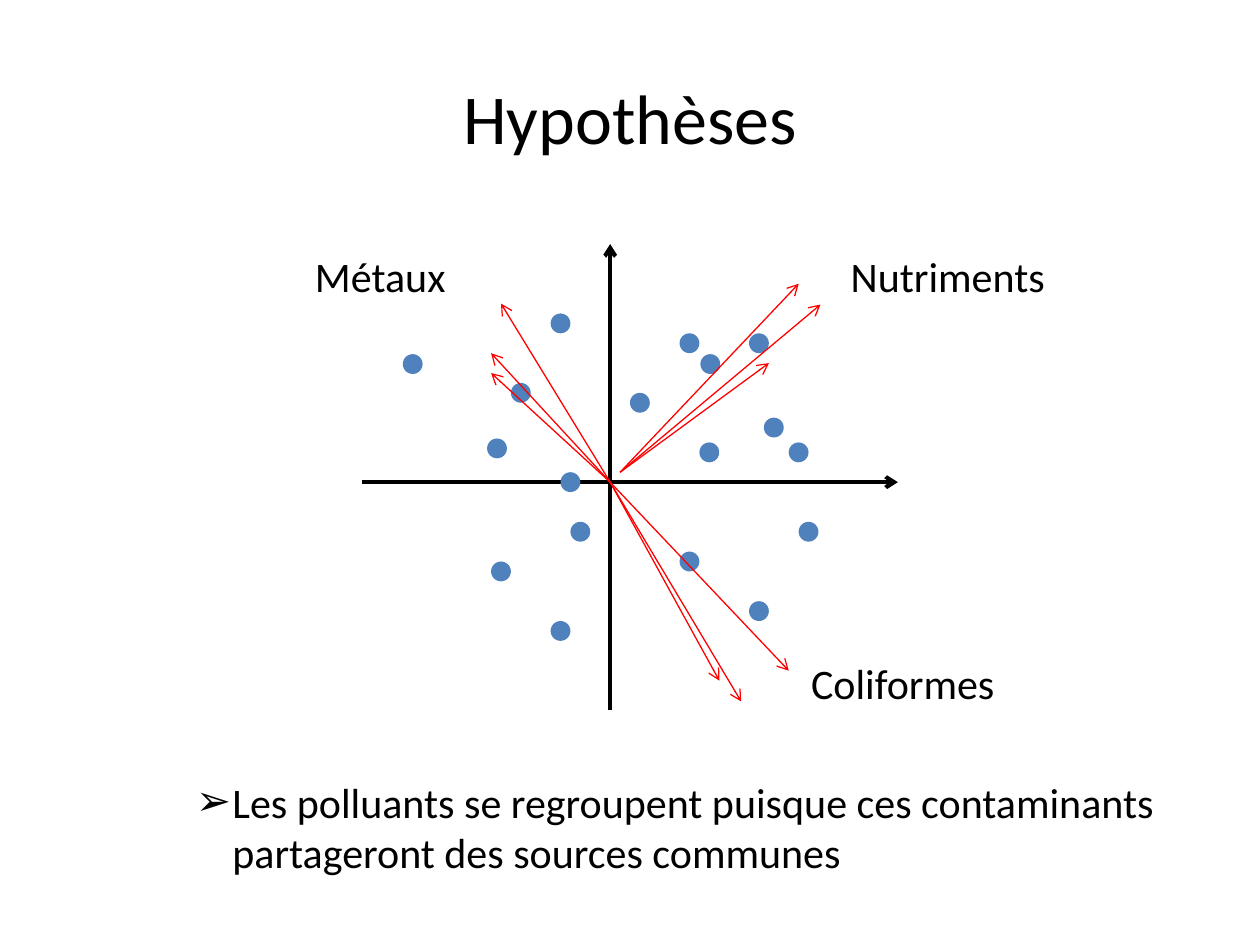
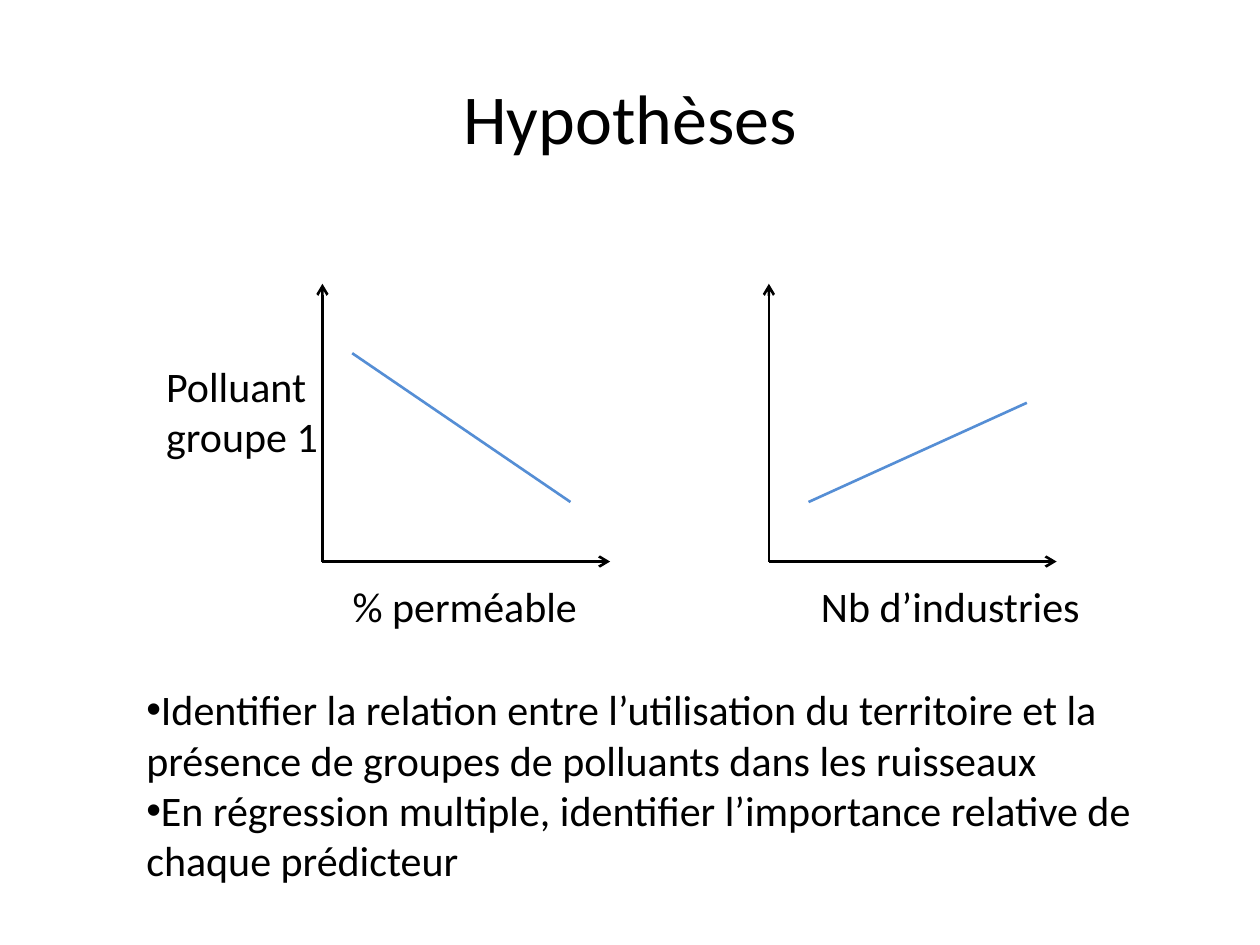
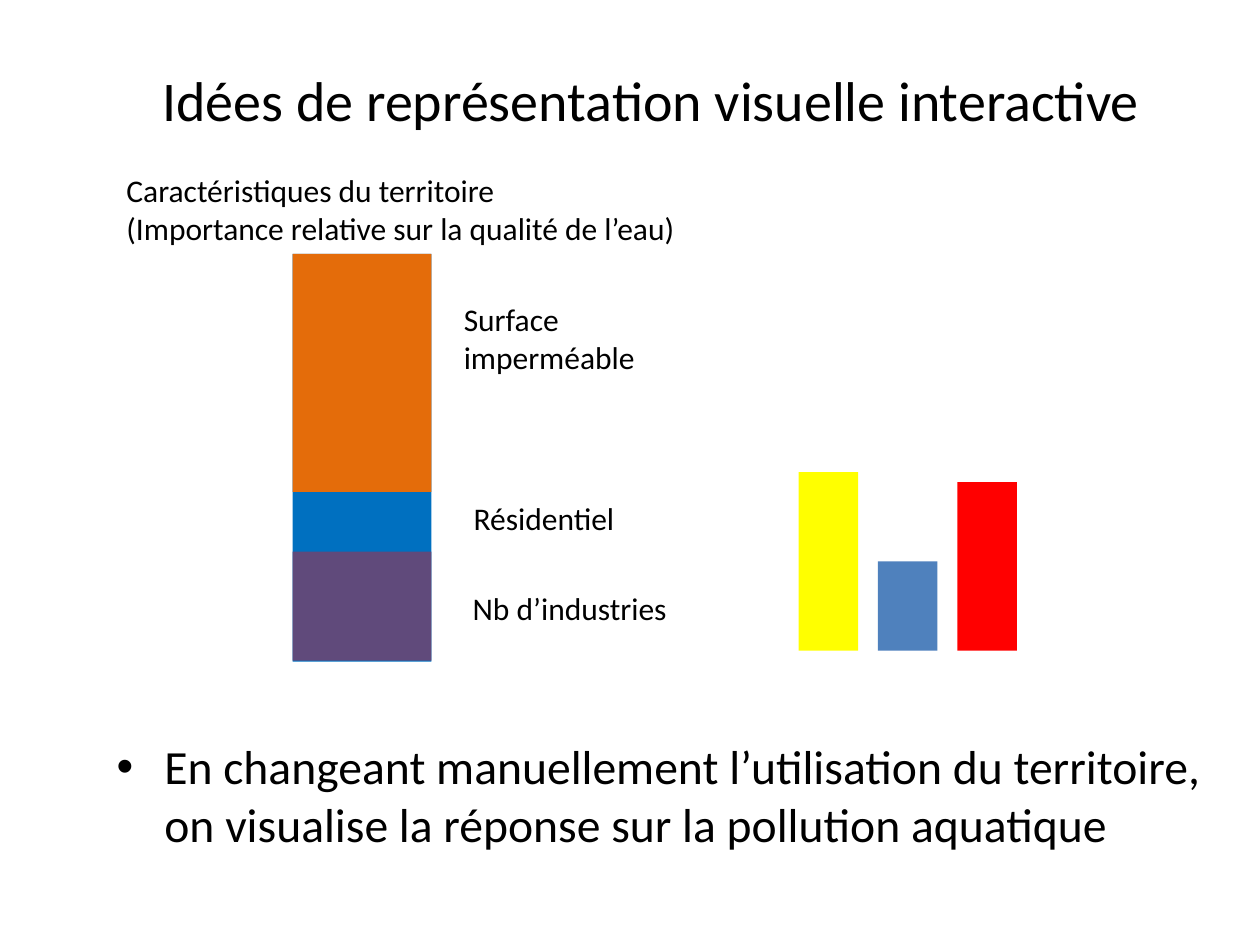
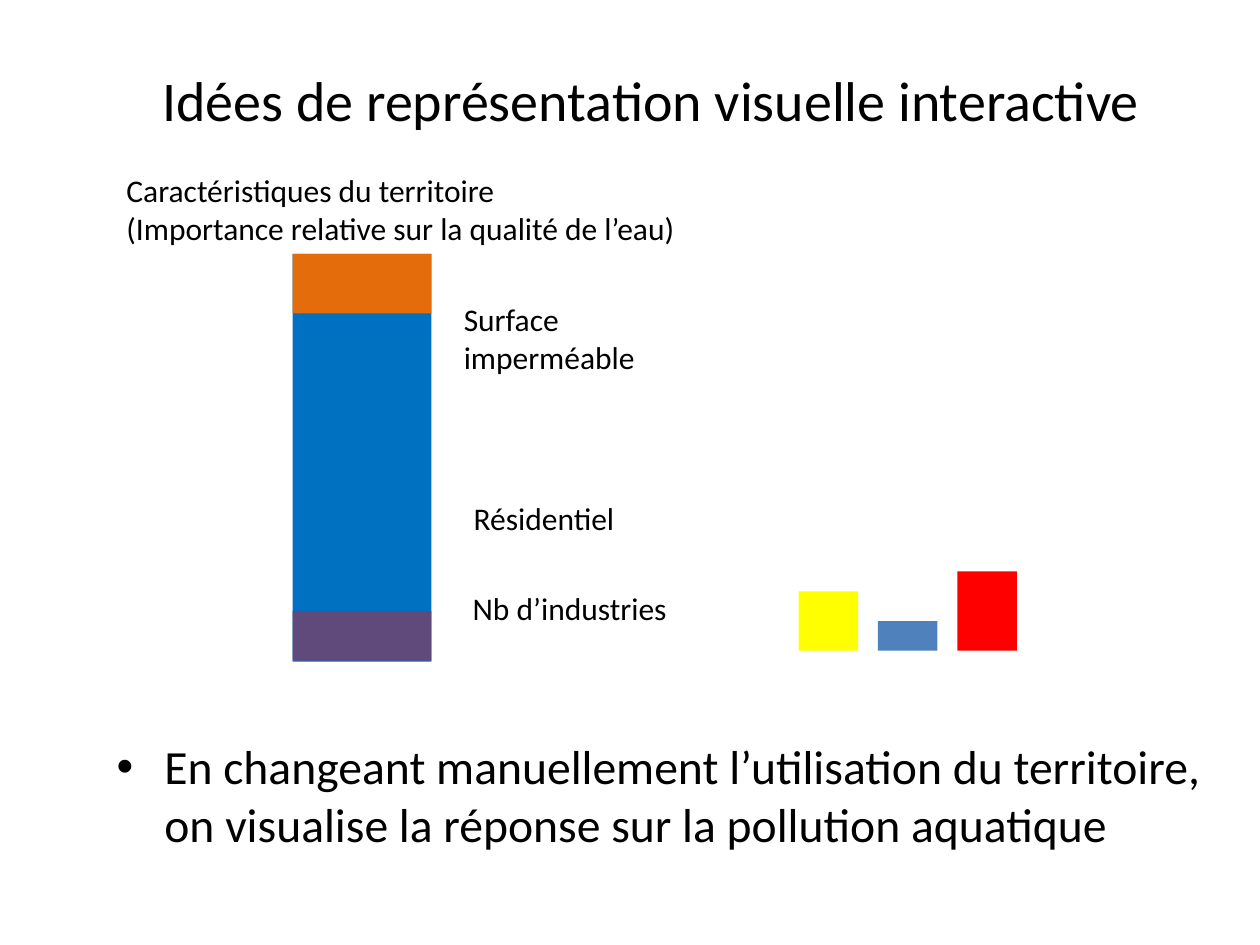
from dataclasses import dataclass
from typing import NamedTuple

from lxml.etree import SubElement
from pptx import Presentation
from pptx.dml.color import RGBColor
from pptx.enum.shapes import MSO_CONNECTOR as Connector, MSO_SHAPE as Preset
from pptx.enum.text import MSO_ANCHOR as Anchor, MSO_AUTO_SIZE as AutoSize, PP_ALIGN as Align
from pptx.oxml.ns import qn
from pptx.slide import Slide
from pptx.util import Emu, Inches, Pt

SLIDE_WIDTH, SLIDE_HEIGHT = Inches(10), Inches(7.5)
GRID_COLUMNS = 127
CELL = SLIDE_WIDTH // GRID_COLUMNS  # square cells, so rows use the same unit
TITLE_ONLY = 5


@dataclass(frozen=True)
class Theme:
    font: str = "Calibri"
    bullet_font: str = "Arial"
    ink: str = "000000"
    site: str = "4F81BD"
    vector: str = "FF0000"
    trend: str = "558ED5"
    residential: str = "0070C0"
    impervious: str = "E46C0A"
    industry: str = "604A7B"
    responses: tuple[str, ...] = ("FFFF00", "4F81BD", "FF0000")
    title_size: float = 40
    long_title_size: float = 32
    statement_size: float = 27.2
    text_size: float = 24
    label_size: float = 18
    main_axis: float = 2.25
    plot_line: float = 1.5
    vector_line: float = 0.75


THEME = Theme()


class Point(NamedTuple):
    """A place on the grid, in columns and rows."""
    col: float
    row: float

    def moved(self, cols: float, rows: float) -> "Point":
        return Point(self.col + cols, self.row + rows)


class Region(NamedTuple):
    col: float
    row: float
    cols: float
    rows: float


class Label(NamedTuple):
    text: str
    region: Region


class Bullet(NamedTuple):
    symbol: str
    hanging: float  # inches


class Regression(NamedTuple):
    """A pair of axes; the trend ends are counted from their origin."""
    origin: Point
    start: Point
    end: Point
    predictor: Label


class Scenario(NamedTuple):
    """Heights in rows: the land-use segments and the pollutant responses."""
    impervious: float
    industry: float
    responses: tuple[float, ...]


TITLE_REGION = Region(6.35, 3.8, 114.3, 15.9)
LONG_TITLE_REGION = Region(8.5, 6, 114.3, 20.7)

PCA_ORIGIN = Point(61.5, 48.6)
PCA_AXES = (((-25, 0), (29, 0)), ((0, 23), (0, -24)))
SITES = (
    (8, -14), (-19.9, -11.9), (-9, -9), (-5, -16), (19, -3), (-11.4, -3.4),
    (-11, 9), (3, -8), (-4, 0), (-3, 5), (8, 8), (10.1, -11.9),
    (15, -14), (15, 13), (16.5, -5.5), (-5, 15), (20, 5), (10, -3),
)
SITE_DIAMETER = 2
VECTORS = (
    ((1, -1), ((19, -20), (21.2, -17.9), (16, -12))),
    ((0, 0), ((-12, -13), (-11, -18), (-12, -11))),
    ((0, 0), ((11, 20), (13.2, 22.1), (18, 19))),
)
POLLUTANT_GROUPS = (
    Label("Nutriments", Region(84.5, 24.6, 22.4, 6.3)),
    Label("Métaux", Region(30.5, 24.6, 15.9, 6.3)),
    Label("Coliformes", Region(80.5, 65.7, 21.2, 6.3)),
)
GROUPING = Label(
    "Les polluants se regroupent puisque ces contaminants partageront des sources communes",
    Region(18.5, 77.6, 100, 11.6),
)

PLOT_COLS, PLOT_ROWS = 29, 28
REGRESSIONS = (
    Regression(Point(32.5, 56.6), Point(3, -21), Point(25, -6),
               Label("% perméable", Region(34.3, 57.9, 25.4, 6.3))),
    Regression(Point(77.5, 56.6), Point(4, -6), Point(26, -16),
               Label("Nb d’industries", Region(81.5, 57.9, 29, 6.3))),
)
RESPONSE = Label("Polluant\ngroupe 1", Region(15.5, 35.7, 18, 11.6))
GOALS = Label(
    "Identifier la relation entre l’utilisation du territoire et la présence de groupes "
    "de polluants dans les ruisseaux\n"
    "En régression multiple, identifier l’importance relative de chaque prédicteur",
    Region(13.5, 68.3, 105, 21.8),
)

STACK = Region(29.5, 25.6, 14, 41.1)
INDUSTRY_BOTTOM = STACK.row + 41
BAR_ORIGIN = Point(80.5, 65.6)
BAR_COLS, BAR_STEP = 6, 8
LAND_USES = (
    Label("Caractéristiques du territoire\n(Importance relative sur la qualité de l’eau)",
          Region(11.5, 16.6, 58, 9)),
    Label("Surface\nimperméable", Region(45.5, 29.6, 20, 9)),
    Label("Résidentiel", Region(46.5, 49.7, 16.9, 5.1)),
    Label("Nb d’industries", Region(46.4, 58.7, 22.4, 5.1)),
)
INTERACTION = Label(
    "En changeant manuellement l’utilisation du territoire, "
    "on visualise la réponse sur la pollution aquatique",
    Region(10.5, 73.7, 114.2, 16.5),
)
SCENARIOS = (
    Scenario(impervious=24, industry=11, responses=(18, 9, 17)),
    Scenario(impervious=6, industry=5, responses=(6, 3, 8)),
)


def cells(*counts: float) -> list[Emu]:
    return [Emu(round(count * CELL)) for count in counts]


def format_text(frame, size: float) -> None:
    for paragraph in frame.paragraphs:
        for run in paragraph.runs:
            run.font.name = THEME.font
            run.font.size = Pt(size)
            run.font.color.rgb = RGBColor.from_string(THEME.ink)


def add_titled_slide(deck, title: str, region: Region, size: float, anchor: Anchor) -> Slide:
    slide = deck.slides.add_slide(deck.slide_layouts[TITLE_ONLY])
    heading = slide.shapes.title
    heading.left, heading.top, heading.width, heading.height = cells(*region)
    frame = heading.text_frame
    frame.text = title
    frame.auto_size = AutoSize.NONE
    frame.vertical_anchor = anchor
    frame.paragraphs[0].alignment = Align.CENTER
    format_text(frame, size)
    return slide


def add_label(slide: Slide, label: Label, size: float, bullet: Bullet | None = None) -> None:
    """Bulleted text wraps in its region; a plain label keeps its own lines."""
    frame = slide.shapes.add_textbox(*cells(*label.region)).text_frame
    frame.word_wrap = bullet is not None
    frame.text = label.text
    if bullet:
        for paragraph in frame.paragraphs:
            properties = paragraph._p.get_or_add_pPr()
            properties.set("marL", str(Inches(bullet.hanging)))
            properties.set("indent", str(-Inches(bullet.hanging)))
            SubElement(properties, qn("a:buFont"), typeface=THEME.bullet_font)
            SubElement(properties, qn("a:buChar"), char=bullet.symbol)
    format_text(frame, size)


def add_line(slide: Slide, start: Point, end: Point, color: str, width: float,
             arrow: bool = True) -> None:
    connector = slide.shapes.add_connector(Connector.STRAIGHT, *cells(*start, *end))
    connector.line.color.rgb = RGBColor.from_string(color)
    connector.line.width = Pt(width)
    if arrow:
        SubElement(connector.line._get_or_add_ln(), qn("a:tailEnd"), type="arrow")
    SubElement(connector._element.spPr, qn("a:effectLst"))


def add_filled(slide: Slide, preset: Preset, region: Region, color: str) -> None:
    shape = slide.shapes.add_shape(preset, *cells(*region))
    shape.shadow.inherit = False
    shape.fill.solid()
    shape.fill.fore_color.rgb = RGBColor.from_string(color)
    shape.line.fill.background()


def build_grouping_slide(deck) -> None:
    slide = add_titled_slide(deck, "Hypothèses", TITLE_REGION, THEME.title_size, Anchor.MIDDLE)
    for start, end in PCA_AXES:
        add_line(slide, PCA_ORIGIN.moved(*start), PCA_ORIGIN.moved(*end),
                 THEME.ink, THEME.main_axis)
    radius = SITE_DIAMETER / 2
    for cols, rows in SITES:
        corner = PCA_ORIGIN.moved(cols - radius, rows - radius)
        add_filled(slide, Preset.OVAL, Region(*corner, SITE_DIAMETER, SITE_DIAMETER), THEME.site)
    for start, tips in VECTORS:
        for tip in tips:
            add_line(slide, PCA_ORIGIN.moved(*start), PCA_ORIGIN.moved(*tip),
                     THEME.vector, THEME.vector_line)
    add_label(slide, GROUPING, THEME.text_size, Bullet("➢", 0.29))
    for group in POLLUTANT_GROUPS:
        add_label(slide, group, THEME.text_size)


def build_regression_slide(deck) -> None:
    slide = add_titled_slide(deck, "Hypothèses", TITLE_REGION, THEME.title_size, Anchor.MIDDLE)
    for origin, start, end, predictor in REGRESSIONS:
        for axis_end in (origin.moved(PLOT_COLS, 0), origin.moved(0, -PLOT_ROWS)):
            add_line(slide, origin, axis_end, THEME.ink, THEME.plot_line)
        add_line(slide, origin.moved(*start), origin.moved(*end),
                 THEME.trend, THEME.plot_line, arrow=False)
        add_label(slide, predictor, THEME.text_size)
    add_label(slide, RESPONSE, THEME.text_size)
    add_label(slide, GOALS, THEME.text_size, Bullet("•", 0))


def build_scenario_slide(deck, scenario: Scenario) -> None:
    slide = add_titled_slide(deck, "Idées de représentation visuelle interactive",
                             LONG_TITLE_REGION, THEME.long_title_size, Anchor.TOP)
    industry_top = INDUSTRY_BOTTOM - scenario.industry
    for region, color in (
        (STACK, THEME.residential),
        (STACK._replace(rows=scenario.impervious), THEME.impervious),
        (STACK._replace(row=industry_top, rows=scenario.industry), THEME.industry),
    ):
        add_filled(slide, Preset.RECTANGLE, region, color)
    for index, (height, color) in enumerate(zip(scenario.responses, THEME.responses)):
        corner = BAR_ORIGIN.moved(index * BAR_STEP, -height)
        add_filled(slide, Preset.RECTANGLE, Region(*corner, BAR_COLS, height), color)
    for land_use in LAND_USES:
        add_label(slide, land_use, THEME.label_size)
    add_label(slide, INTERACTION, THEME.statement_size, Bullet("•", 0.38))


def main() -> None:
    deck = Presentation()
    deck.slide_width, deck.slide_height = SLIDE_WIDTH, SLIDE_HEIGHT
    build_grouping_slide(deck)
    build_regression_slide(deck)
    for scenario in SCENARIOS:
        build_scenario_slide(deck, scenario)
    deck.save("out.pptx")


if __name__ == "__main__":
    main()
